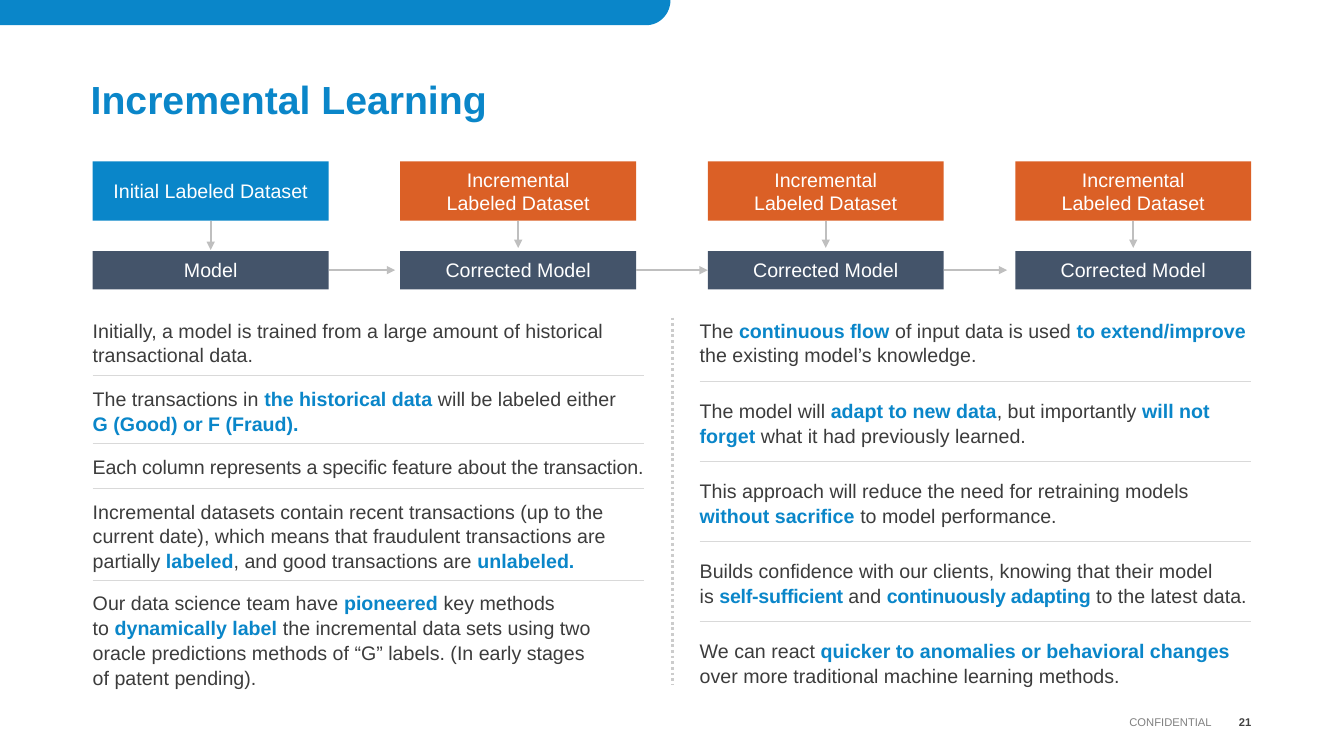
from math import cos, pi, sin

from lxml.etree import SubElement
from pptx import Presentation
from pptx.dml.color import RGBColor
from pptx.enum.dml import MSO_LINE_DASH_STYLE as Dash
from pptx.enum.shapes import MSO_CONNECTOR_TYPE as Connector, MSO_SHAPE as Shape
from pptx.enum.text import MSO_ANCHOR as Anchor, PP_ALIGN as Align
from pptx.oxml.ns import qn
from pptx.util import Pt

SCALE = 9144
BLUE, ORANGE, SLATE, WHITE = "0A86C9", "DB6026", "44546A", "FFFFFF"
INK, ARROW, RULE, DOTS = "3C3C3C", "BFBFBF", "D9D9D9", "CCCCCC"

STAGES = [
    ("Initial Labeled Dataset", BLUE, "Model", 29, 66),
    ("Incremental\nLabeled Dataset", ORANGE, "Corrected Model", 27, 71),
    ("Incremental\nLabeled Dataset", ORANGE, "Corrected Model", 27, 63),
    ("Incremental\nLabeled Dataset", ORANGE, "Corrected Model", 27, 0),
]
TRAINING_NOTES = [
    (2, "Initially, a model is trained from a large amount of historical transactional data.", (0, 0)),
    (2, "The transactions in *the historical data *will be labeled either \n"
        "*G (Good) or F (Fraud).", (0, 0)),
    (1, "Each column represents a specific feature about the transaction.", (-10, 0)),
    (3, "Incremental datasets contain recent transactions (up to the current date), "
        "which means that fraudulent transactions are partially *labeled*, "
        "and good transactions are *unlabeled.", (0, 0)),
    (4, "Our data science team have *pioneered *key methods\nto *dynamically label *"
        "the incremental data sets using two\noracle predictions methods of “G” labels. "
        "(In early stages \nof patent pending).", (0, 0)),
]
BENEFIT_NOTES = [
    (2, "The *continuous flow *of input data is used *to extend/improve\n*"
        "the existing model’s knowledge.", (0, 0)),
    (2, "The model will *adapt to new data*, but importantly *will not forget *"
        "what it had previously learned.", (0, 0)),
    (2, "This approach will reduce the need for retraining models *without sacrifice *"
        "to model performance.", (0, 0)),
    (2, "Builds confidence with our clients, knowing that their model \n"
        "is *self-sufficient *and *continuously adapting *to the latest data.", (0, -20)),
    (2, "We can react *quicker to anomalies or behavioral changes *"
        "over more traditional machine learning methods.", (0, 0)),
]


def px(*lengths):
    return [round(length * SCALE) for length in lengths]


def rgb(color):
    return RGBColor.from_string(color)


def apply_format(target, values):
    for name, value in values.items():
        setattr(target, name, value)


def fill_shape(shape, color):
    shape.shadow.inherit = False
    shape.fill.solid()
    shape.fill.fore_color.rgb = rgb(color)
    shape.line.fill.background()


def write_text(shape, text, size, color, bold=False, frame=None, layout=None, spacing=(0, 0)):
    margins = dict.fromkeys(("margin_left", "margin_top", "margin_right", "margin_bottom"), 0)
    apply_format(shape.text_frame, {**margins, "word_wrap": True, **(frame or {})})
    para = shape.text_frame.paragraphs[0]
    apply_format(para, layout or {})
    for index, part in enumerate(text.split("*")):
        strong = index % 2 == 1
        for row, words in enumerate(part.split("\n")):
            if row:
                para.add_line_break()
            if not words:
                continue
            span = para.add_run()
            span.text = words
            apply_format(span.font, {"name": "Arial", "size": Pt(size), "bold": bold or strong})
            span.font.color.rgb = rgb(BLUE if strong else color)
            if spacing[strong]:
                span.font._element.set("spc", str(spacing[strong]))


def add_text(page, box, text, size, color, **options):
    write_text(page.shapes.add_textbox(*px(*box)), text, size, color, **options)


def add_block(page, box, text, color):
    block = page.shapes.add_shape(Shape.RECTANGLE, *px(*box))
    fill_shape(block, color)
    write_text(block, text, 14, WHITE, frame={"vertical_anchor": Anchor.MIDDLE},
               layout={"alignment": Align.CENTER})


def add_line(page, start, end, color, width, dash=None, arrow=False):
    line = page.shapes.add_connector(Connector.STRAIGHT, *px(*start, *end))
    line.line.color.rgb = rgb(color)
    apply_format(line.line, {"width": Pt(width), "dash_style": dash})
    properties = line._element.spPr
    if arrow:
        SubElement(properties.find(qn("a:ln")), qn("a:tailEnd"), type="triangle")
    SubElement(properties, qn("a:effectLst"))


def draw_banner(page, box):
    left, top, width, height = box
    corner = 24
    angles = [step * pi / 32 for step in range(17)]
    curve = [(left + width - corner + corner * cos(angle), top + height * sin(angle))
             for angle in angles]
    outline = page.shapes.build_freeform(*px(left, top))
    outline.add_line_segments([px(*point) for point in curve + [(left, top + height)]])
    fill_shape(outline.convert_to_shape(), BLUE)


def draw_pipeline(page, box):
    left, top, width, height = box
    block_width, dataset_height, model_height = 234, 59, 38
    pitch = (width - block_width) / (len(STAGES) - 1)
    model_top = top + height - model_height
    arrow_y = model_top + model_height / 2
    for index, (dataset, color, model, drop, reach) in enumerate(STAGES):
        x = left + index * pitch
        center, right, bottom = x + block_width / 2, x + block_width, top + dataset_height
        add_block(page, (x, top, block_width, dataset_height), dataset, color)
        add_block(page, (x, model_top, block_width, model_height), model, SLATE)
        add_line(page, (center, bottom), (center, bottom + drop), ARROW, 1.5, arrow=True)
        if reach:
            add_line(page, (right, arrow_y), (right + reach, arrow_y), ARROW, 1.5, arrow=True)


def draw_notes(page, box, notes):
    left, top, width, height = box
    line_height = 23.6
    text_height = line_height * sum(lines for lines, _, _ in notes)
    gap = (height - text_height) / (len(notes) - 1)
    y = top
    for index, (lines, text, spacing) in enumerate(notes):
        if index:
            add_line(page, (left, y - gap / 2), (left + width, y - gap / 2), RULE, 0.5)
        add_text(page, (left, y, width, lines * line_height), text, 14, INK, spacing=spacing,
                 layout={"space_before": Pt(2), "line_spacing": 1.05})
        y += lines * line_height + gap


def draw_footer(page, box):
    left, top, width, height = box
    number_width = 39
    label_width = width - number_width
    style = {"frame": {"vertical_anchor": Anchor.MIDDLE}, "layout": {"alignment": Align.RIGHT}}
    add_text(page, (left, top, label_width, height), "CONFIDENTIAL", 8, "808080", **style)
    add_text(page, (left + label_width, top, number_width, height), "21", 8, "404040",
             bold=True, **style)


def main():
    deck = Presentation()
    deck.slide_width, deck.slide_height = px(1333, 750)
    page = deck.slides.add_slide(deck.slide_layouts[6])
    draw_banner(page, (0, 0, 665, 25))
    add_text(page, (90, 63, 1150, 59), "Incremental Learning", 28, BLUE, bold=True,
             frame={"vertical_anchor": Anchor.BOTTOM}, layout={"line_spacing": 0.9})
    draw_pipeline(page, (92, 160, 1149, 127))
    draw_notes(page, (92, 315, 547, 365), TRAINING_NOTES)
    add_line(page, (667, 315), (667, 680), DOTS, 2, dash=Dash.ROUND_DOT)
    draw_notes(page, (694, 315, 547, 365), BENEFIT_NOTES)
    draw_footer(page, (478, 706, 763, 20))
    deck.save("out.pptx")


if __name__ == "__main__":
    main()
